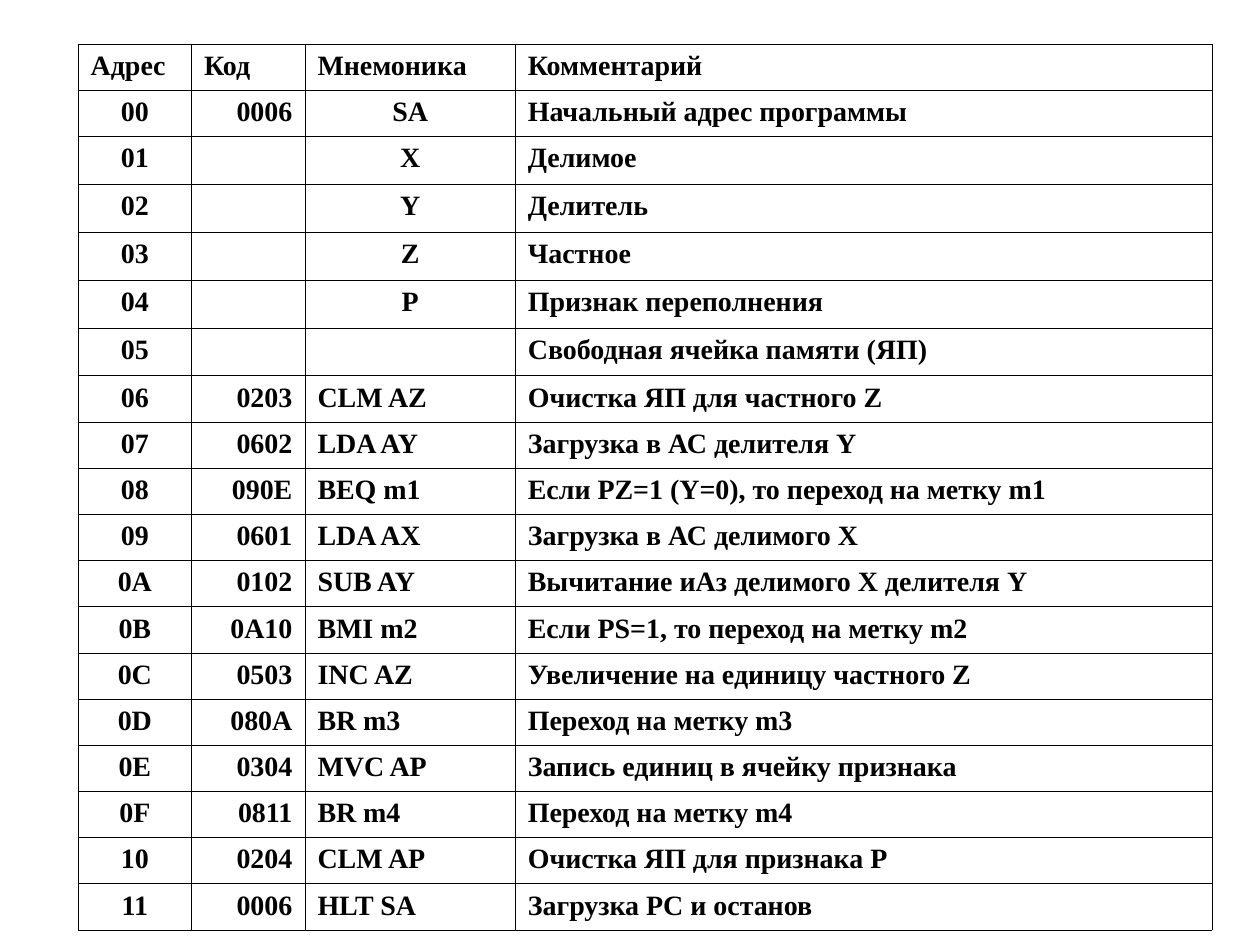
from lxml.etree import SubElement
from pptx import Presentation
from pptx.dml.color import RGBColor
from pptx.enum.text import PP_ALIGN
from pptx.oxml.ns import qn
from pptx.util import Inches, Pt

BLACK = RGBColor(0, 0, 0)
FONT = "Times New Roman"
TEXT_SIZE = Pt(16)
BORDER_WIDTH = Pt(0.45)
HANGING = Inches(0.38)
COLUMN_WIDTHS = [0.9, 0.9, 1.67, 5.53]
DATA_ROW_HEIGHT = Inches(0.38)

HEADER = ("Адрес", "Код", "Мнемоника", "Комментарий")
PROGRAM = [
    ("00", "0006", "SA", "Начальный адрес программы"),
    ("01", "", "X", "Делимое"),
    ("02", "", "Y", "Делитель"),
    ("03", "", "Z", "Частное"),
    ("04", "", "P", "Признак переполнения"),
    ("05", "", "", "Свободная ячейка памяти (ЯП)"),
    ("06", "0203", "CLM AZ", "Очистка ЯП для частного Z"),
    ("07", "0602", "LDA AY", "Загрузка в АС делителя Y"),
    ("08", "090E", "BEQ m1", "Если PZ=1 (Y=0), то переход на метку m1"),
    ("09", "0601", "LDA AX", "Загрузка в АС делимого X"),
    ("0A", "0102", "SUB AY", "Вычитание иАз делимого X делителя Y"),
    ("0B", "0A10", "BMI m2", "Если PS=1, то переход на метку m2"),
    ("0C", "0503", "INC AZ", "Увеличение на единицу частного Z"),
    ("0D", "080A", "BR m3", "Переход на метку m3"),
    ("0E", "0304", "MVC AP", "Запись единиц в ячейку признака"),
    ("0F", "0811", "BR m4", "Переход на метку m4"),
    ("10", "0204", "CLM AP", "Очистка ЯП для признака P"),
    ("11", "0006", "HLT SA", "Загрузка PC и останов"),
]


def set_borders(cell):
    properties = cell._tc.get_or_add_tcPr()
    for side in ("a:lnL", "a:lnR", "a:lnT", "a:lnB"):
        line = SubElement(properties, qn(side), w=str(BORDER_WIDTH))
        fill = SubElement(line, qn("a:solidFill"))
        SubElement(fill, qn("a:srgbClr"), val=str(BLACK))


def alignments(values):
    if values == HEADER:
        return [PP_ALIGN.JUSTIFY] * len(values)
    is_instruction = " " in values[2]
    mnemonic = PP_ALIGN.JUSTIFY if is_instruction else PP_ALIGN.CENTER
    return [PP_ALIGN.CENTER, PP_ALIGN.RIGHT, mnemonic, PP_ALIGN.JUSTIFY]


def fill_cell(cell, text, alignment):
    set_borders(cell)
    cell.fill.background()
    para = cell.text_frame.paragraphs[0]
    para.text = text
    para.alignment = alignment
    if not text:
        SubElement(para._p, qn("a:endParaRPr"), sz=str(int(TEXT_SIZE.pt * 100)))
    indents = para._p.get_or_add_pPr()
    indents.set("marL", str(HANGING))
    indents.set("indent", str(-HANGING))
    for span in para.runs:
        span.font.name = FONT
        span.font.size = TEXT_SIZE
        span.font.bold = True
        span.font.color.rgb = BLACK


def add_program_table(page, left, top, width, height):
    rows = [HEADER] + PROGRAM
    table = page.shapes.add_table(
        len(rows), len(HEADER), left, top, width, height
    ).table
    table.first_row = False
    table.horz_banding = False
    for column, column_width in zip(table.columns, COLUMN_WIDTHS):
        column.width = Inches(column_width)
    for row, values in zip(table.rows, rows):
        row.height = height // len(rows) if values[1] else DATA_ROW_HEIGHT
        for cell, text, alignment in zip(row.cells, values, alignments(values)):
            fill_cell(cell, text, alignment)


def main():
    deck = Presentation()
    deck.slide_width = Inches(10)
    deck.slide_height = Inches(7.5)
    page = deck.slides.add_slide(deck.slide_layouts[6])
    add_program_table(page, Inches(0.62), Inches(0.35), Inches(9), Inches(6.97))
    deck.save("out.pptx")


if __name__ == "__main__":
    main()
